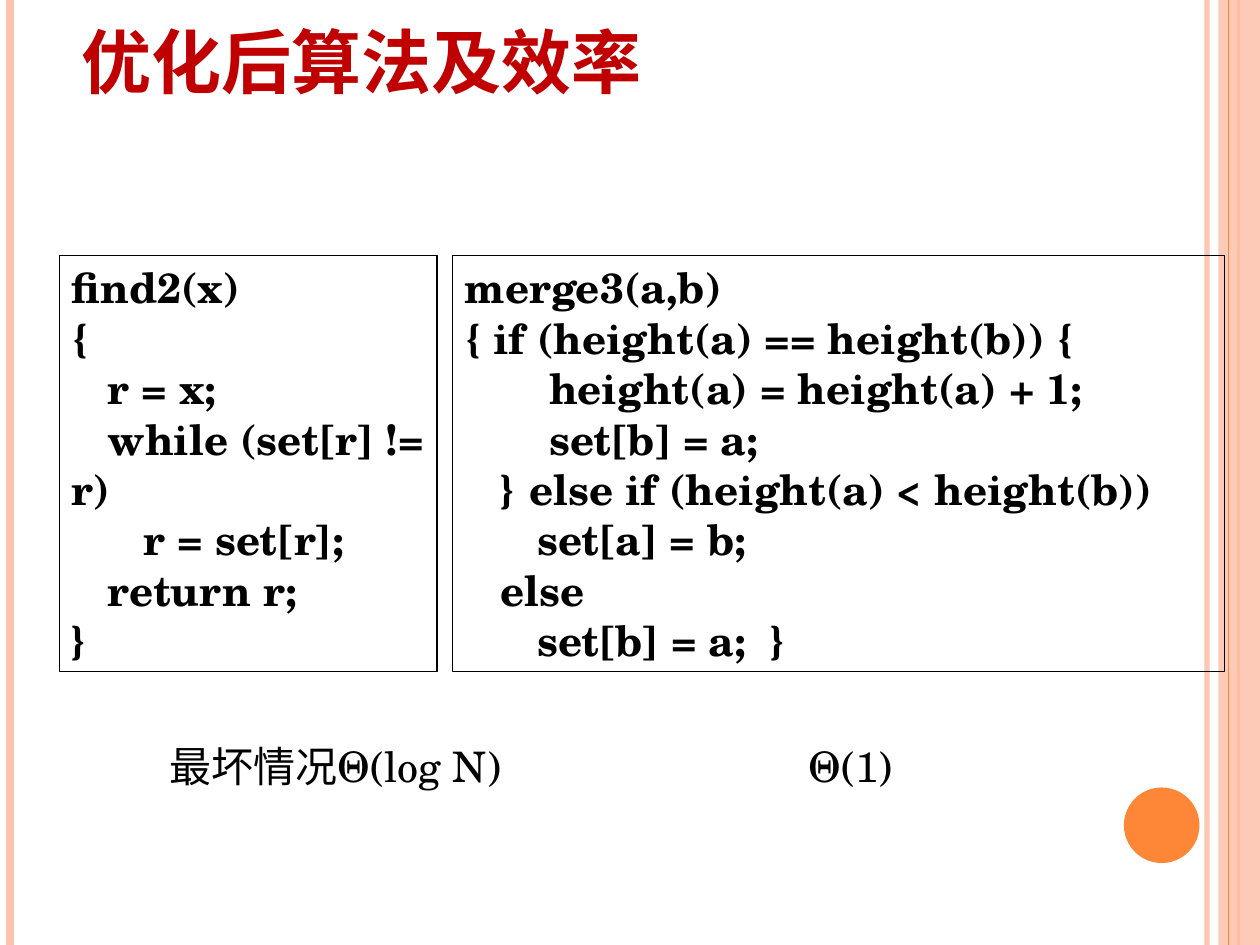
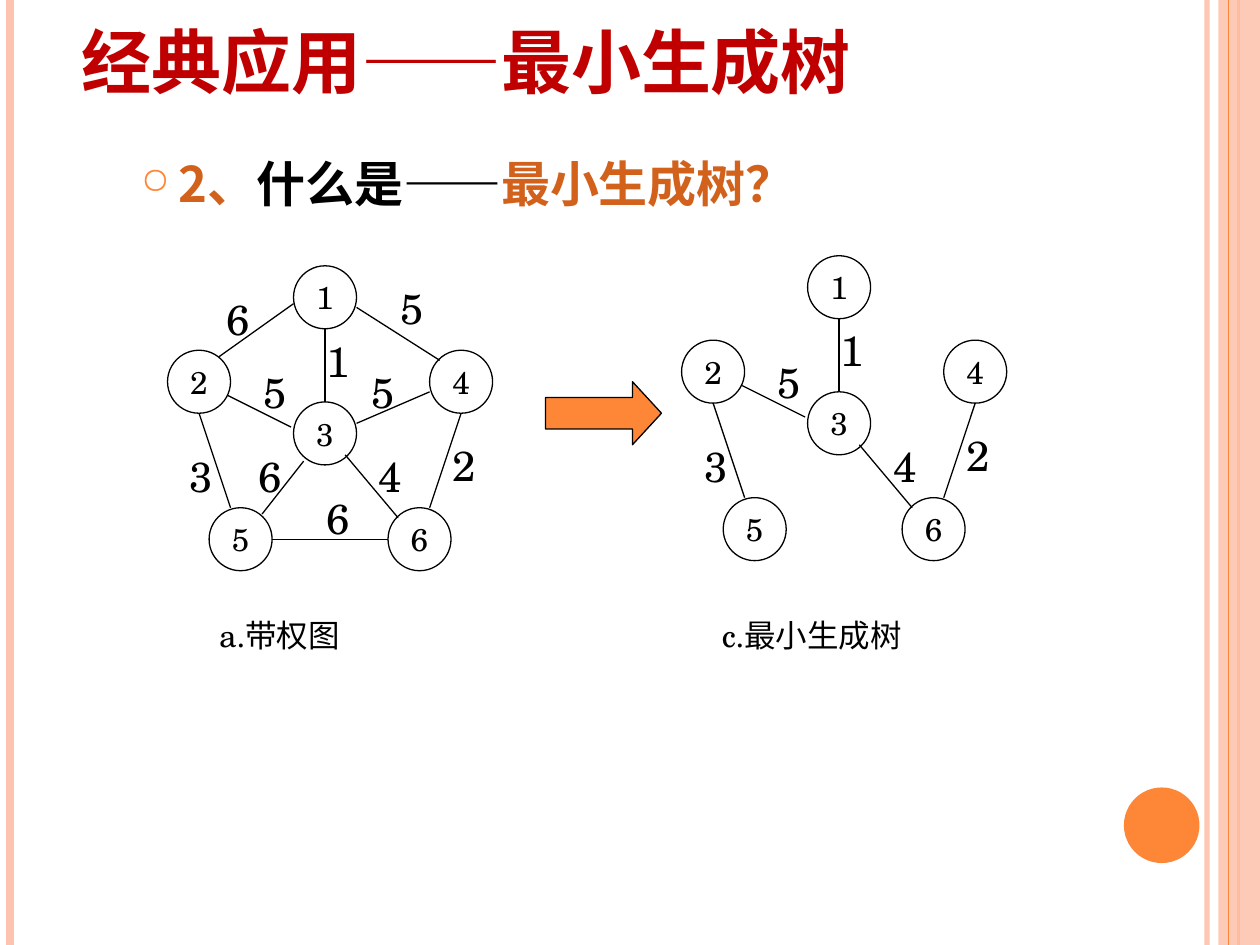
from lxml.etree import SubElement
from pptx import Presentation
from pptx.dml.color import RGBColor
from pptx.enum.lang import MSO_LANGUAGE_ID
from pptx.enum.shapes import MSO_CONNECTOR, MSO_SHAPE
from pptx.enum.text import MSO_ANCHOR, PP_ALIGN
from pptx.oxml.ns import qn
from pptx.util import Inches, Pt

SERIF, SANS, DASH = "TeX Gyre Schola", "Noto Sans CJK SC", "Arial"
BLACK, RED, BROWN = "000000", "C00000", "D2611C"
ORANGE, PEACH = "FE8637", "FEC3AE"

STRIPES = [(9.58, PEACH, 3, 93), (0.08, PEACH, 4.5, 100), (9.83, ORANGE, 1.5, 100)]
INNER_STRIPE = (9.75, ORANGE, 0.75, 100)

EFFICIENCY_TITLE = [("优化后算法及效率", SERIF, RED)]
CODE_BOXES = [
    (3.59, 6.13, [
        "merge3(a,b)",
        "{ if (height(a) == height(b)) {",
        "       height(a) = height(a) + 1;",
        "       set[b] = a;",
        "   } else if (height(a) < height(b))",
        "      set[a] = b;",
        "   else",
        "      set[b] = a;  }",
    ]),
    (0.47, 3, [
        "find2(x)",
        "{",
        "   r = x;",
        "   while (set[r] != r)",
        "      r = set[r];",
        "   return r;",
        "}",
    ]),
]
COSTS = [(1.25, 3.1, "最坏情况Θ(log N)"), (6.32, 1.1, "Θ(1)")]

TREE_TITLE = [("经典应用", SERIF, RED), ("——", DASH, RED), ("最小生成树", SERIF, RED)]
QUESTION = [("2、", SANS, BROWN), ("什么是", SANS, BLACK),
            ("——", DASH, BLACK), ("最小生成树？", SANS, BROWN)]
CAPTIONS = [(1.64, 1.92, "a.带权图"), (5.63, 2.58, "c.最小生成树")]

NODES = {1: (2.33, 2.11), 2: (1.33, 2.78), 3: (2.33, 3.19),
         4: (3.41, 2.78), 5: (1.66, 4.03), 6: (3.08, 4.03)}
EDGES = {
    (1, 2): ((1.74, 2.83), (2.33, 2.41), 6, (1.70, 2.28)),
    (1, 3): ((2.58, 3.19), (2.58, 2.61), 1, (2.49, 2.61)),
    (1, 4): ((2.83, 2.44), (3.49, 2.86), 5, (3.08, 2.19)),
    (2, 3): ((1.81, 3.14), (2.31, 3.39), 5, (1.99, 2.86)),
    (2, 5): ((1.83, 4.03), (1.58, 3.28), 3, (1.41, 3.53)),
    (3, 4): ((2.83, 3.36), (3.41, 3.11), 5, (2.85, 2.86)),
    (3, 5): ((2.08, 4.08), (2.41, 3.66), 6, (1.95, 3.53)),
    (3, 6): ((2.74, 3.61), (3.16, 4.11), 4, (2.91, 3.53)),
    (4, 6): ((3.41, 4.03), (3.66, 3.28), 2, (3.49, 3.44)),
    (5, 6): ((2.16, 4.28), (3.08, 4.28), 6, (2.49, 3.86)),
}
TREE_EDGES = [(1, 3), (2, 3), (2, 5), (3, 6), (4, 6)]
GRAPHS = [((0, 0), list(EDGES)), ((4.08, -0.08), TREE_EDGES)]


def color(value):
    return RGBColor.from_string(value)


def set_alpha(fill_parent, percent):
    if percent < 100:
        tint = next(fill_parent.iter(qn("a:srgbClr")))
        SubElement(tint, qn("a:alpha"), val=str(percent * 1000))


def add_line(shapes, start, end, tone=BLACK, width=0.75, alpha=100):
    ends = [Inches(value) for value in (*start, *end)]
    line = shapes.add_connector(MSO_CONNECTOR.STRAIGHT, *ends)
    line.line.color.rgb = color(tone)
    line.line.width = Pt(width)
    properties = line._element.spPr
    set_alpha(properties, alpha)
    SubElement(properties, qn("a:effectLst"))


def add_figure(shapes, kind, place, fill=None, outline=BLACK, alpha=100):
    figure = shapes.add_shape(kind, *[Inches(value) for value in place])
    figure.shadow.inherit = False
    if fill:
        figure.fill.solid()
        figure.fill.fore_color.rgb = color(fill)
        set_alpha(figure._element.spPr, alpha)
    else:
        figure.fill.background()
    if outline:
        figure.line.color.rgb = color(outline)
        figure.line.width = Pt(0.75)
    else:
        figure.line.fill.background()
    return figure


def write(box, paragraphs, size, bold=False, align=PP_ALIGN.LEFT,
          anchor=MSO_ANCHOR.TOP, wrap=True):
    frame = box.text_frame
    frame.word_wrap = wrap
    frame.vertical_anchor = anchor
    for index, spans in enumerate(paragraphs):
        para = frame.add_paragraph() if index else frame.paragraphs[0]
        para.alignment = align
        for text, font, tone in spans:
            span = para.add_run()
            span.text = text
            span.font.name = font
            span.font.size = Pt(size)
            span.font.bold = bold
            span.font.color.rgb = color(tone)
            span.font.language_id = MSO_LANGUAGE_ID.SIMPLIFIED_CHINESE
            SubElement(span.font._element, qn("a:ea"), typeface=SANS)
    return frame


def add_text(shapes, place, spans, size, **style):
    box = shapes.add_textbox(*[Inches(value) for value in place])
    return write(box, [spans], size, **style)


def add_page(deck, title):
    page = deck.slides.add_slide(deck.slide_layouts[6])
    shapes = page.shapes
    for x, *style in STRIPES:
        add_line(shapes, (x, 0), (x, 7.5), *style)
    add_figure(shapes, MSO_SHAPE.RECTANGLE, (9.67, 0, 0.33, 7.5), PEACH, None, 87)
    x, *style = INNER_STRIPE
    add_line(shapes, (x, 0), (x, 7.5), *style)
    add_figure(shapes, MSO_SHAPE.OVAL, (8.92, 6.25, 0.6, 0.6), ORANGE, None)
    add_text(shapes, (0.55, -0.39, 8.17, 1.25), title, 40, bold=True,
             anchor=MSO_ANCHOR.BOTTOM)
    return page


def add_bullet(para):
    properties = para._p.get_or_add_pPr()
    properties.set("marL", str(Inches(0.3)))
    properties.set("indent", str(Inches(-0.3)))
    tone = SubElement(properties, qn("a:buClr"))
    SubElement(tone, qn("a:srgbClr"), val=ORANGE)
    SubElement(properties, qn("a:buSzPct"), val="75000")
    SubElement(properties, qn("a:buChar"), char="○")


def add_graph(page, offset, edges):
    shapes = page.shapes.add_group_shape().shapes

    def shift(point):
        return point[0] + offset[0], point[1] + offset[1]

    for number, corner in NODES.items():
        node = add_figure(shapes, MSO_SHAPE.OVAL, (*shift(corner), 0.5, 0.5))
        write(node, [[(str(number), SERIF, BLACK)]], 18, align=PP_ALIGN.CENTER,
              anchor=MSO_ANCHOR.MIDDLE, wrap=False)
    for edge in edges:
        start, end, weight, corner = EDGES[edge]
        add_line(shapes, shift(start), shift(end))
        add_text(shapes, (*shift(corner), 0.33, 0.5), [(str(weight), SERIF, BLACK)], 24)


def add_efficiency_page(deck):
    page = add_page(deck, EFFICIENCY_TITLE)
    for left, width, lines in CODE_BOXES:
        box = add_figure(page.shapes, MSO_SHAPE.RECTANGLE, (left, 2.03, width, 3.3))
        write(box, [[(line, SERIF, BLACK)] for line in lines], 24, bold=True)
    for left, width, cost in COSTS:
        add_text(page.shapes, (left, 5.83, width, 0.5), [(cost, SERIF, BLACK)], 24)


def add_tree_page(deck):
    page = add_page(deck, TREE_TITLE)
    question = add_text(page.shapes, (1.02, 1.17, 6.5, 0.83), QUESTION, 28, bold=True)
    add_bullet(question.paragraphs[0])
    for offset, edges in GRAPHS:
        add_graph(page, offset, edges)
    arrow = add_figure(page.shapes, MSO_SHAPE.RIGHT_ARROW, (4.33, 3.03, 0.92, 0.5), ORANGE)
    arrow.adjustments[1] = 0.46
    for left, width, caption in CAPTIONS:
        add_text(page.shapes, (left, 4.84, width, 0.4), [(caption, SERIF, BLACK)], 18)


def main():
    deck = Presentation()
    deck.slide_width, deck.slide_height = Inches(10), Inches(7.5)
    add_efficiency_page(deck)
    add_tree_page(deck)
    deck.save("out.pptx")


if __name__ == "__main__":
    main()
